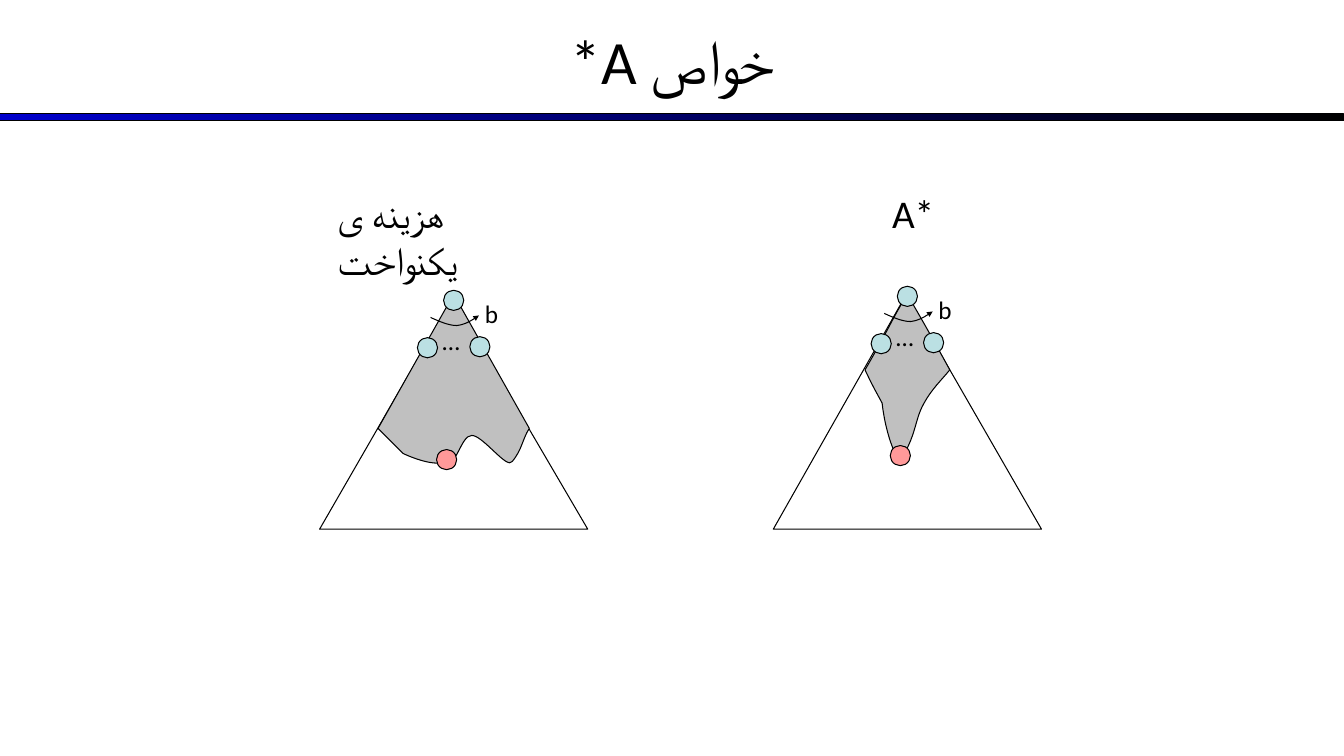
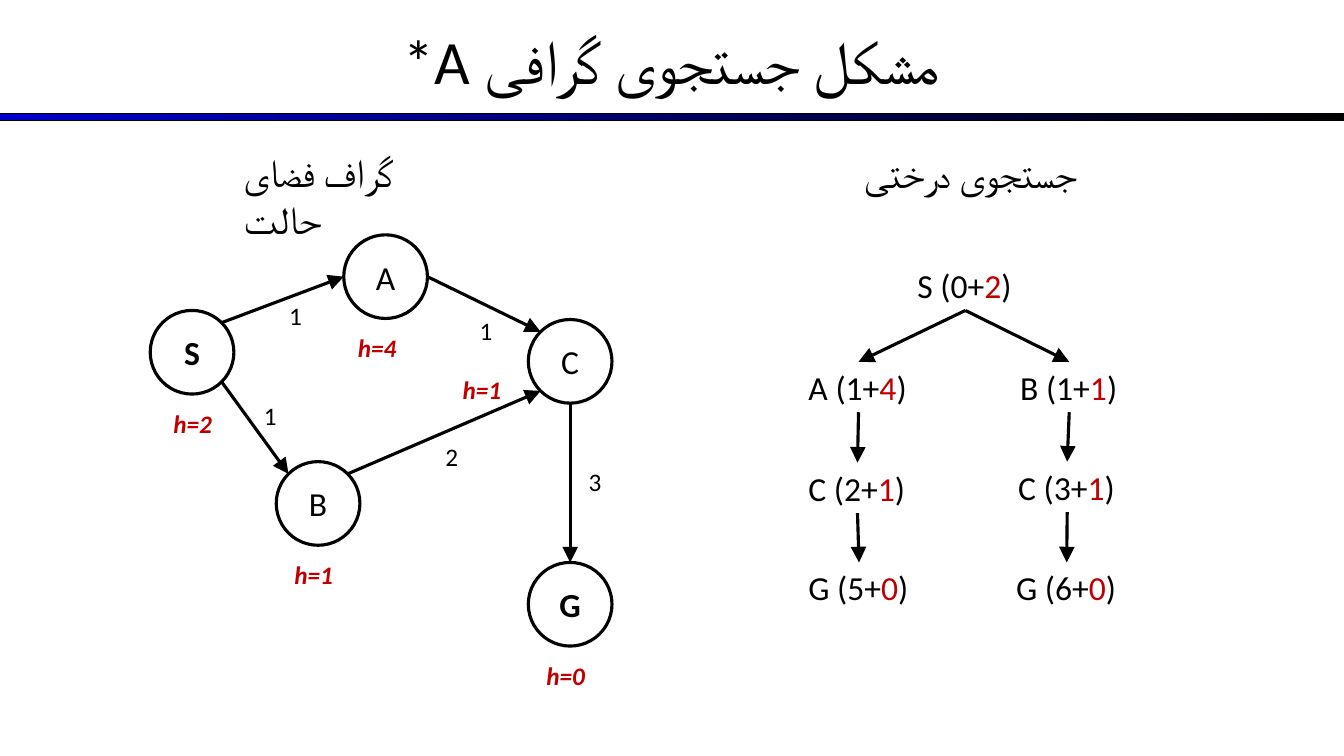
import math
from dataclasses import dataclass

import lxml.etree
import pptx
import pptx.dml.color
import pptx.enum.shapes
import pptx.enum.text
import pptx.oxml.ns
import pptx.presentation
import pptx.shapes.autoshape
import pptx.shapes.connector
import pptx.slide
import pptx.util

Inches = pptx.util.Inches
qn = pptx.oxml.ns.qn
SHAPES = pptx.enum.shapes.MSO_SHAPE
STRAIGHT = pptx.enum.shapes.MSO_CONNECTOR.STRAIGHT

FONT = "Calibri"
BLACK = "000000"
WHITE = "FFFFFF"
BLUE = "0000CC"
RED = "C00000"
EXPLORED = "C0C0C0"
OPEN_NODE = "BBE0E3"
GOAL_NODE = "FF9999"
SLIDE_WIDTH = 13.33
THIN = 0.75
THICK = 2.25
DOT_SIZE = 0.2
STATE_SIZE = 0.83

Outline = list[tuple[float, ...]]


@dataclass
class SearchPanel:
    title: str
    title_left: float
    title_width: float
    apex_left: float
    apex_top: float
    explored: Outline


@dataclass
class State:
    name: str
    left: float
    top: float
    bold: bool
    heuristic: str
    heuristic_left: float
    heuristic_top: float


@dataclass
class Edge:
    start: str
    start_site: int
    end: str
    end_site: int
    cost: str
    cost_left: float
    cost_top: float


@dataclass
class TreeNode:
    label: str
    heuristic: str
    left: float
    top: float
    width: float
    parent: int | None


PANELS = [
    SearchPanel("هزینه ی یکنواخت", 3.25, 2.5, 4.4, 2.88, [
        (4.5, 2.92), (3.75, 4.25), (4, 4.5),
        (4, 4.5, 4.29, 4.64, 4.42, 4.58),
        (4.53, 4.64, 4.57, 4.32, 4.68, 4.32),
        (4.79, 4.32, 5.03, 4.66, 5.08, 4.58),
        (5.18, 4.46, 5.18, 4.36, 5.25, 4.25),
        (4.5, 2.92),
    ]),
    SearchPanel("A*", 8.75, 0.67, 8.9, 2.84, [
        (9, 2.92),
        (8.85, 3.16, 8.84, 3.22, 8.58, 3.67),
        (8.66, 3.84, 8.68, 3.87, 8.75, 4),
        (8.75, 4, 8.78, 4.34, 8.92, 4.58),
        (9.09, 4.33, 9.07, 4.17, 9.16, 4.01),
        (9.24, 3.86, 9.34, 3.77, 9.42, 3.67),
        (9.17, 3.21, 9.1, 3.1, 9, 2.92),
    ]),
]

STATES = [
    State("S", 1.49, 3.08, True, "h=2", 1.62, 4),
    State("A", 3.41, 2.33, False, "h=4", 3.45, 3.25),
    State("B", 2.74, 4.58, False, "h=1", 2.82, 5.5),
    State("C", 5.24, 3.17, False, "h=1", 4.49, 3.66),
    State("G", 5.24, 5.58, True, "h=0", 5.32, 6.5),
]

EDGES = [
    Edge("S", 7, "A", 2, "1", 2.77, 2.93),
    Edge("S", 5, "B", 1, "1", 2.52, 3.92),
    Edge("B", 7, "C", 3, "2", 4.32, 4.33),
    Edge("A", 6, "C", 1, "1", 4.66, 3.08),
    Edge("C", 4, "G", 0, "3", 5.74, 4.58),
]

TREE = [
    TreeNode("S (0+", "2", 9, 2.58, 1.15, None),
    TreeNode("A (1+", "4", 7.92, 3.59, 1.19, 0),
    TreeNode("B (1+", "1", 10.02, 3.59, 1.17, 0),
    TreeNode("C (2+", "1", 7.92, 4.59, 1.17, 1),
    TreeNode("C (3+", "1", 10, 4.58, 1.17, 2),
    TreeNode("G (5+", "0", 7.92, 5.58, 1.2, 3),
    TreeNode("G (6+", "0", 9.98, 5.58, 1.2, 4),
]


def rgb(color: str) -> pptx.dml.color.RGBColor:
    return pptx.dml.color.RGBColor.from_string(color)


def style_shape(shape: pptx.shapes.autoshape.Shape, fill: str | None, width: float) -> None:
    shape.shadow.inherit = False
    if fill is None:
        shape.fill.background()
    else:
        shape.fill.solid()
        shape.fill.fore_color.rgb = rgb(fill)
    shape.line.color.rgb = rgb(BLACK)
    shape.line.width = pptx.util.Pt(width)


def format_run(run, size: float, color: str = BLACK, bold: bool = False, italic: bool = False) -> None:
    run.font.name = FONT
    run.font.size = pptx.util.Pt(size)
    run.font.color.rgb = rgb(color)
    run.font.bold = bold
    run.font.italic = italic
    lxml.etree.SubElement(run._r.get_or_add_rPr(), qn("a:cs"), typeface=FONT)


def add_arrowhead(shape, size: str) -> None:
    line = shape._element.spPr.find(qn("a:ln"))
    lxml.etree.SubElement(line, qn("a:tailEnd"), type="triangle", w=size, len=size)


def add_preset(slide: pptx.slide.Slide, kind, left: float, top: float, width: float, height: float,
               fill: str | None, line_width: float = THIN) -> pptx.shapes.autoshape.Shape:
    shape = slide.shapes.add_shape(kind, Inches(left), Inches(top), Inches(width), Inches(height))
    style_shape(shape, fill, line_width)
    return shape


def add_label(slide: pptx.slide.Slide, text: str, left: float, top: float, width: float, height: float,
              size: float, wrap: bool = False, color: str = BLACK,
              emphasis: bool = False) -> pptx.shapes.autoshape.Shape:
    label = slide.shapes.add_textbox(Inches(left), Inches(top), Inches(width), Inches(height))
    frame = label.text_frame
    frame.word_wrap = wrap
    frame.auto_size = pptx.enum.text.MSO_AUTO_SIZE.SHAPE_TO_FIT_TEXT
    frame.text = text
    format_run(frame.paragraphs[0].runs[0], size, color, emphasis, emphasis)
    return label


def add_outline(slide: pptx.slide.Slide, outline: Outline, fill: str | None,
                close: bool) -> pptx.shapes.autoshape.Shape:
    points = [(Inches(segment[k]), Inches(segment[k + 1]))
              for segment in outline for k in range(0, len(segment), 2)]
    builder = slide.shapes.build_freeform(*points[0], scale=1.0)
    builder.add_line_segments(points[1:], close=close)
    shape = builder.convert_to_shape()
    style_shape(shape, fill, THIN)
    lines = iter(list(shape._element.iter(qn("a:lnTo"))))
    for segment in outline[1:]:
        line = next(lines)
        if len(segment) == 6:
            line.tag_name = None
    return shape


def bend_outline(shape: pptx.shapes.autoshape.Shape, outline: Outline) -> None:
    lines = iter(list(shape._element.iter(qn("a:lnTo"))))
    for segment in outline[1:]:
        group = [next(lines) for _ in range(len(segment) // 2)]
        if len(group) == 3:
            curve = lxml.etree.Element(qn("a:cubicBezTo"))
            group[0].addprevious(curve)
            for line in group:
                curve.append(line[0])
                line.getparent().remove(line)


def add_curved_outline(slide: pptx.slide.Slide, outline: Outline, fill: str | None,
                       close: bool) -> pptx.shapes.autoshape.Shape:
    points = [(Inches(segment[k]), Inches(segment[k + 1]))
              for segment in outline for k in range(0, len(segment), 2)]
    builder = slide.shapes.build_freeform(*points[0], scale=1.0)
    builder.add_line_segments(points[1:], close=close)
    shape = builder.convert_to_shape()
    style_shape(shape, fill, THIN)
    bend_outline(shape, outline)
    return shape


def add_arrow(slide: pptx.slide.Slide, start: tuple[int, int],
              end: tuple[int, int]) -> pptx.shapes.connector.Connector:
    arrow = slide.shapes.add_connector(STRAIGHT, *start, *end)
    arrow.line.color.rgb = rgb(BLACK)
    arrow.line.width = pptx.util.Pt(THICK)
    add_arrowhead(arrow, "lg")
    lxml.etree.SubElement(arrow._element.spPr, qn("a:effectLst"))
    return arrow


def circle_site(circle: pptx.shapes.autoshape.Shape, site: int) -> tuple[int, int]:
    radius = circle.width / 2
    angle = math.radians(45 * site)
    return (round(circle.left + radius * (1 - math.sin(angle))),
            round(circle.top + radius * (1 - math.cos(angle))))


def add_titled_slide(presentation: pptx.presentation.Presentation, title: str) -> pptx.slide.Slide:
    slide = presentation.slides.add_slide(presentation.slide_layouts[6])
    band = add_preset(slide, SHAPES.RECTANGLE, 0, 1.13, SLIDE_WIDTH, 0.07, BLUE)
    band.fill.gradient()
    band.fill.gradient_angle = 0
    for stop, color in zip(band.fill.gradient_stops, (BLUE, BLACK)):
        stop.color.rgb = rgb(color)
    box = add_label(slide, title, 0, -0.03, SLIDE_WIDTH, 1.25, 44, wrap=True)
    frame = box.text_frame
    frame.auto_size = pptx.enum.text.MSO_AUTO_SIZE.NONE
    frame.vertical_anchor = pptx.enum.text.MSO_ANCHOR.MIDDLE
    paragraph = frame.paragraphs[0]
    paragraph.alignment = pptx.enum.text.PP_ALIGN.CENTER
    paragraph._p.get_or_add_pPr().set("rtl", "1")
    return slide


def draw_panel(slide: pptx.slide.Slide, panel: SearchPanel) -> None:
    x, y = panel.apex_left, panel.apex_top
    add_curved_outline(slide, [(x - 1.23, 5.25), (x + 1.43, 5.25), (x + 0.09, y + 0.08)], None, close=True)
    add_curved_outline(slide, panel.explored, EXPLORED, close=True)
    add_label(slide, "…", x - 0.11, y + 0.3, 0.3, 0.4, 18, wrap=True)
    branching = add_curved_outline(slide, [
        (x - 0.13, y + 0.27),
        (x - 0.04, y + 0.31, x + 0.05, y + 0.35, x + 0.13, y + 0.35),
        (x + 0.21, y + 0.34, x + 0.28, y + 0.3, x + 0.35, y + 0.25),
    ], None, close=False)
    add_arrowhead(branching, "sm")
    add_label(slide, "b", x + 0.31, y + 0.03, 0.33, 0.4, 18, wrap=True)
    for right, down, fill in [(-0.26, 0.47, OPEN_NODE), (0.26, 0.46, OPEN_NODE),
                              (-0.07, 1.58, GOAL_NODE), (0, 0, OPEN_NODE)]:
        add_preset(slide, SHAPES.OVAL, x + right, y + down, DOT_SIZE, DOT_SIZE, fill)
    add_label(slide, panel.title, panel.title_left, 1.83, panel.title_width, 0.57, 28, wrap=True)


def draw_state(slide: pptx.slide.Slide, state: State) -> pptx.shapes.autoshape.Shape:
    circle = add_preset(slide, SHAPES.OVAL, state.left, state.top, STATE_SIZE, STATE_SIZE, WHITE, THICK)
    frame = circle.text_frame
    frame.text = state.name
    frame.vertical_anchor = pptx.enum.text.MSO_ANCHOR.MIDDLE
    frame.paragraphs[0].alignment = pptx.enum.text.PP_ALIGN.CENTER
    format_run(frame.paragraphs[0].runs[0], 24, bold=state.bold)
    add_label(slide, state.heuristic, state.heuristic_left, state.heuristic_top, 0.59, 0.4, 18,
              color=RED, emphasis=True)
    return circle


def draw_edge(slide: pptx.slide.Slide, edge: Edge,
              circles: dict[str, pptx.shapes.autoshape.Shape]) -> None:
    start, end = circles[edge.start], circles[edge.end]
    arrow = add_arrow(slide, circle_site(start, edge.start_site), circle_site(end, edge.end_site))
    joints = arrow._element.nvCxnSpPr.cNvCxnSpPr
    for tag, circle, site in [("a:stCxn", start, edge.start_site), ("a:endCxn", end, edge.end_site)]:
        lxml.etree.SubElement(joints, qn(tag), id=str(circle.shape_id), idx=str(site))
    add_label(slide, edge.cost, edge.cost_left, edge.cost_top, 0.34, 0.4, 18)


def draw_tree(slide: pptx.slide.Slide) -> None:
    boxes = []
    for node in TREE:
        box = add_label(slide, node.label, node.left, node.top, node.width, 0.5, 24)
        paragraph = box.text_frame.paragraphs[0]
        for text, color in [(node.heuristic, RED), (")", BLACK)]:
            run = paragraph.add_run()
            run.text = text
            format_run(run, 24, color)
        boxes.append(box)
        if node.parent is not None:
            arrow = add_arrow(slide, (0, 0), (0, 0))
            arrow.begin_connect(boxes[node.parent], 2)
            arrow.end_connect(box, 0)


def main() -> None:
    presentation = pptx.Presentation()
    presentation.slide_width = Inches(SLIDE_WIDTH)
    presentation.slide_height = Inches(7.5)

    properties = add_titled_slide(presentation, "خواص A*")
    for panel in PANELS:
        draw_panel(properties, panel)

    graph = add_titled_slide(presentation, "مشکل جستجوی گرافی A*")
    circles = {state.name: draw_state(graph, state) for state in STATES}
    for edge in EDGES:
        draw_edge(graph, edge, circles)
    draw_tree(graph)
    add_label(graph, "گراف فضای حالت", 2.32, 1.42, 2.34, 0.57, 28, wrap=True)
    add_label(graph, "جستجوی درختی", 8.47, 1.43, 2.31, 0.57, 28, wrap=True)

    presentation.save("out.pptx")


if __name__ == "__main__":
    main()
